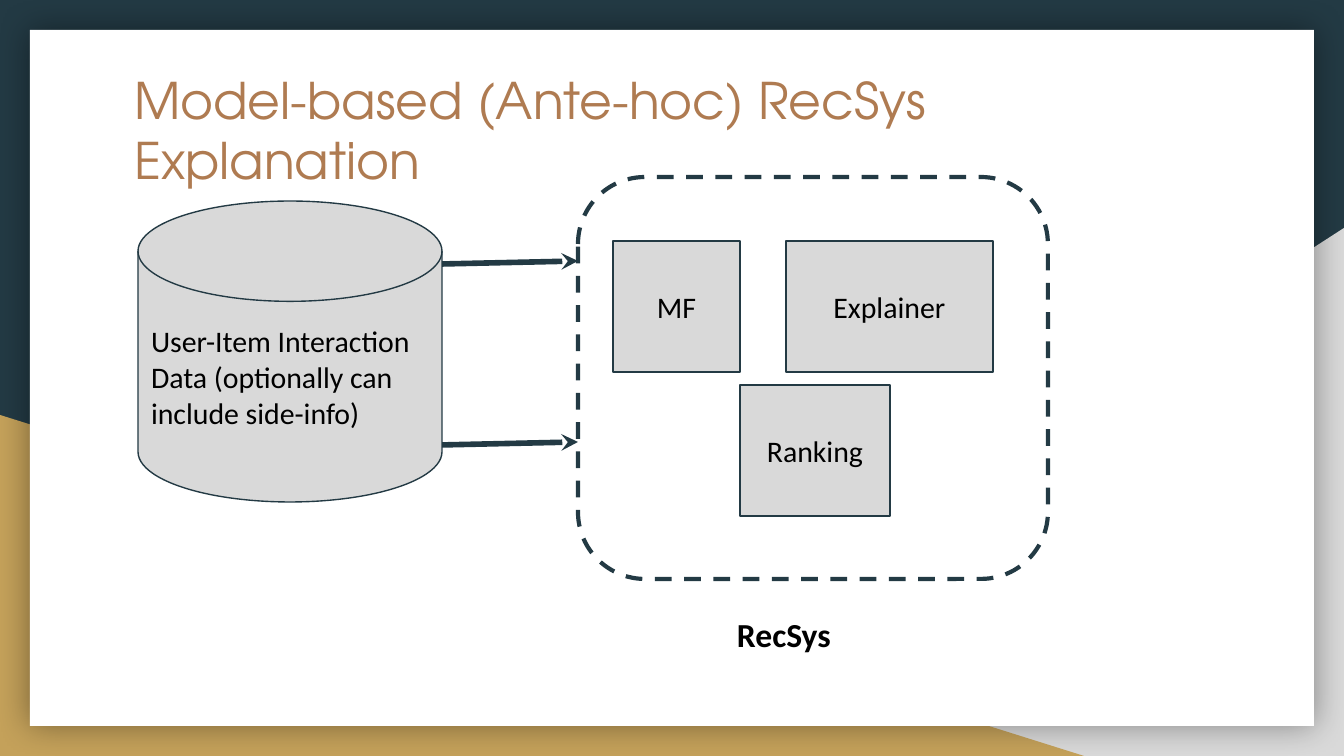
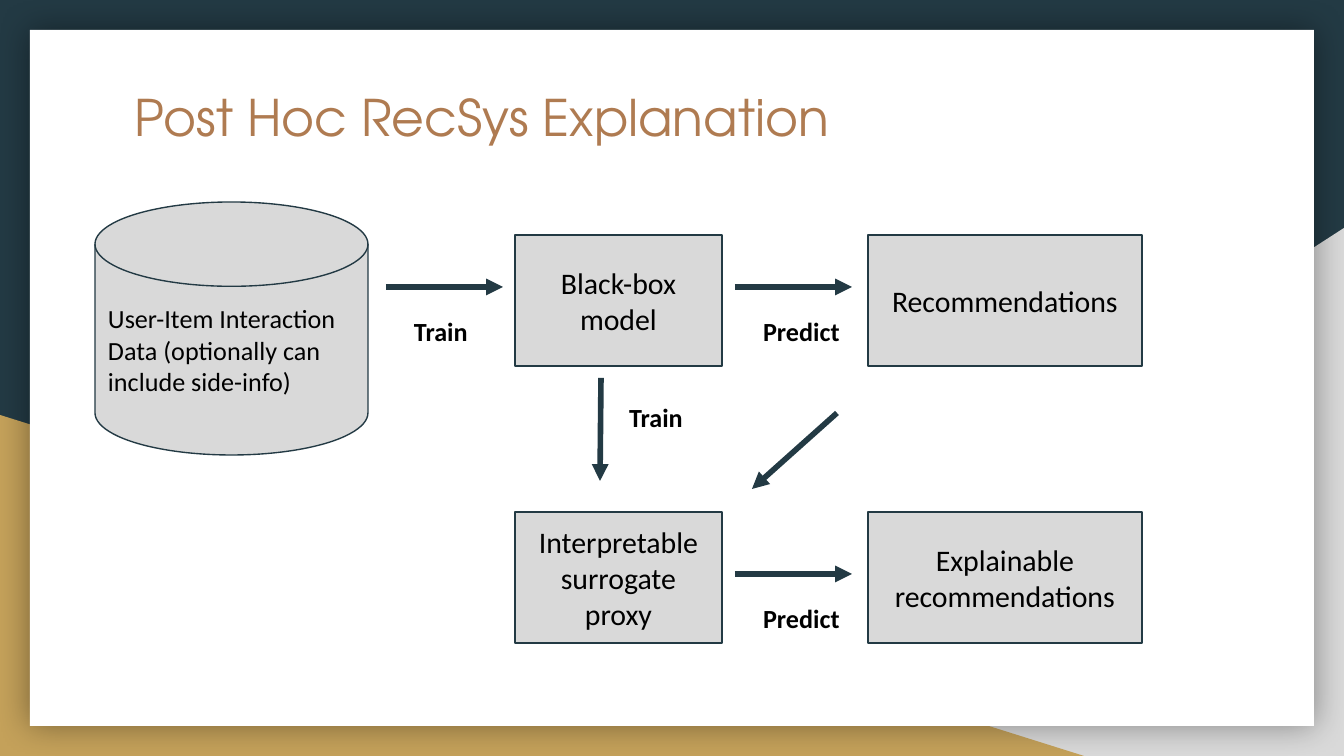
from lxml.etree import SubElement
from pptx import Presentation
from pptx.dml.color import RGBColor
from pptx.enum.dml import MSO_LINE
from pptx.enum.shapes import MSO_CONNECTOR, MSO_SHAPE
from pptx.enum.text import MSO_ANCHOR, MSO_AUTO_SIZE, PP_ALIGN
from pptx.oxml.ns import qn
from pptx.util import Emu, Pt

NAVY = RGBColor(0x23, 0x3A, 0x44)
GOLD = RGBColor(0xC4, 0xA1, 0x5A)
COPPER = RGBColor(0xAF, 0x7B, 0x51)
GREY = RGBColor(0xD9, 0xD9, 0xD9)
WHITE = RGBColor(0xFF, 0xFF, 0xFF)
BLACK = RGBColor(0x00, 0x00, 0x00)
TITLE_FONT = "TeX Gyre Adventor"
BODY_FONT = "Calibri"
EMU_PER_PX = 914400 / 134.4
INSET = 13
BOX_HEIGHT = 131

# Boxes are left, top, width, height; arrows are start x, y and end x, y.
DATA_TEXT = "User-Item Interaction Data (optionally can include side-info)"

MODEL_TITLE = "Model-based (Ante-hoc) RecSys Explanation"
MODEL_DATA = (138, 201, 304, 301)
RECSYS_FRAME = (578, 177, 470, 402)
RECSYS_PARTS = [
    ("MF", 613, 241, 127),
    ("Ranking", 740, 385, 150),
    ("Explainer", 786, 241, 207),
]
RECSYS_LABEL = ("RecSys", (724, 601, 129, 67))
DATA_ARROW_TOPS = (264, 445)
DATA_ARROW_RISE = 3

POST_HOC_TITLE = "Post Hoc RecSys Explanation"
POST_HOC_DATA = (95, 202, 273, 253)
COLUMNS = [(515, 207), (868, 274)]
ROWS = [
    (235, ("Black-box model", "Recommendations")),
    (512, ("Interpretable surrogate proxy", "Explainable recommendations")),
]
STEPS = [("Train", 386, 287), ("Predict", 735, 287), ("Predict", 735, 574)]
STEP_LENGTH = 117
STEP_LABEL_GAP = 15
STEP_LABEL_SIZE = (152, 59)
SURROGATE_ARROWS = [(601, 378, 600, 481), (837, 413, 752, 489)]
SURROGATE_LABEL = ("Train", (616, 388))


def px(*lengths):
    return [Emu(round(length * EMU_PER_PX)) for length in lengths]


def format_text(frame, size, color=BLACK, font=BODY_FONT, bold=False,
                align=PP_ALIGN.LEFT, anchor=MSO_ANCHOR.TOP):
    frame.word_wrap = True
    frame.vertical_anchor = anchor
    inset, = px(INSET)
    frame.margin_left = frame.margin_right = inset
    frame.margin_top = frame.margin_bottom = inset
    for para in frame.paragraphs:
        para.alignment = align
        for span in para.runs:
            span.font.name = font
            span.font.size = Pt(size)
            span.font.bold = bold
            span.font.color.rgb = color


def add_figure(shapes, kind, place, fill, line_width=0):
    figure = shapes.add_shape(kind, *px(*place))
    figure.shadow.inherit = False
    figure.fill.solid()
    figure.fill.fore_color.rgb = fill
    if line_width:
        figure.line.color.rgb = NAVY
        figure.line.width = Pt(line_width)
    else:
        figure.line.fill.background()
    return figure


def add_box(shapes, text, place):
    box = add_figure(shapes, MSO_SHAPE.RECTANGLE, place, GREY, 0.75)
    box.text_frame.text = text
    format_text(box.text_frame, 16, align=PP_ALIGN.CENTER, anchor=MSO_ANCHOR.MIDDLE)


def add_data_store(shapes, place, size):
    disk = add_figure(shapes, MSO_SHAPE.FLOWCHART_MAGNETIC_DISK, place, GREY, 0.75)
    disk.text_frame.text = DATA_TEXT
    format_text(disk.text_frame, size, anchor=MSO_ANCHOR.MIDDLE)


def add_label(shapes, text, place, size):
    label = shapes.add_textbox(*px(*place))
    label.text_frame.text = text
    label.text_frame.auto_size = MSO_AUTO_SIZE.SHAPE_TO_FIT_TEXT
    format_text(label.text_frame, size, bold=True)


def add_arrow(shapes, ends, head="triangle"):
    arrow = shapes.add_connector(MSO_CONNECTOR.STRAIGHT, *px(*ends))
    arrow.line.color.rgb = NAVY
    arrow.line.width = Pt(3)
    properties = arrow.element.spPr
    SubElement(properties.find(qn("a:ln")), qn("a:tailEnd"), type=head)
    SubElement(properties, qn("a:effectLst"))


def add_glow(figure):
    """Give the figure a soft black shadow on all sides."""
    effects = figure.element.spPr.find(qn("a:effectLst"))
    shadow = SubElement(effects, qn("a:outerShdw"), blurRad=str(Pt(18)),
                        dist="0", dir="0", algn="ctr", rotWithShape="0")
    color = SubElement(shadow, qn("a:srgbClr"), val=str(BLACK))
    SubElement(color, qn("a:alpha"), val="40000")


def dress_layout(layout, slide):
    """Draw the shared backdrop on a slide and move it to the layout."""
    layout.background.fill.solid()
    layout.background.fill.fore_color.rgb = NAVY
    right = add_figure(slide.shapes, MSO_SHAPE.RIGHT_TRIANGLE, (527, 228, 817, 528), GREY)
    right.element.spPr.find(qn("a:xfrm")).set("flipH", "1")
    left = add_figure(slide.shapes, MSO_SHAPE.RIGHT_TRIANGLE, (0, 415, 1084, 341), GOLD)
    sheet = add_figure(slide.shapes, MSO_SHAPE.RECTANGLE, (30, 30, 1284, 696), WHITE)
    add_glow(sheet)
    for position, figure in enumerate((right, left, sheet), start=2):
        layout.shapes.element.insert(position, figure.element)


def set_title(slide, text, top, height):
    title = slide.shapes.title
    title.left, title.top, title.width, title.height = px(121, top, 1103, height)
    title.text_frame.text = text
    title.text_frame.auto_size = MSO_AUTO_SIZE.NONE
    format_text(title.text_frame, 27, COPPER, TITLE_FONT)
    return title


def fill_model_slide(slide):
    set_title(slide, MODEL_TITLE, 56, 98)
    parts = slide.shapes.add_group_shape().shapes
    frame = add_figure(parts, MSO_SHAPE.ROUNDED_RECTANGLE, RECSYS_FRAME, WHITE, 2.25)
    frame.line.dash_style = MSO_LINE.DASH
    for text, left, top, width in RECSYS_PARTS:
        add_box(parts, text, (left, top, width, BOX_HEIGHT))
    add_label(slide.shapes, *RECSYS_LABEL, 18)
    start = MODEL_DATA[0] + MODEL_DATA[2]
    for top in DATA_ARROW_TOPS:
        add_arrow(slide.shapes, (start, top, RECSYS_FRAME[0], top - DATA_ARROW_RISE), "stealth")
    add_data_store(slide.shapes, MODEL_DATA, 16)


def fill_post_hoc_slide(slide):
    title = set_title(slide, POST_HOC_TITLE, 64, 92)
    title.text_frame.paragraphs[0].line_spacing = 1.15
    title.text_frame.paragraphs[0].space_after = Pt(12)
    add_data_store(slide.shapes, POST_HOC_DATA, 14)
    for top, texts in ROWS:
        for (left, width), text in zip(COLUMNS, texts):
            add_box(slide.shapes, text, (left, top, width, BOX_HEIGHT))
    for ends in SURROGATE_ARROWS:
        add_arrow(slide.shapes, ends)
    text, corner = SURROGATE_LABEL
    add_label(slide.shapes, text, corner + STEP_LABEL_SIZE, 14)
    for text, left, top in STEPS:
        step = slide.shapes.add_group_shape().shapes
        add_arrow(step, (left, top, left + STEP_LENGTH, top))
        corner = (left + STEP_LABEL_GAP, top + STEP_LABEL_GAP)
        add_label(step, text, corner + STEP_LABEL_SIZE, 14)


def main():
    deck = Presentation()
    deck.slide_width, deck.slide_height = px(1344, 756)
    layout = deck.slide_layouts.get_by_name("Title Only")
    model_slide, post_hoc_slide = [deck.slides.add_slide(layout) for _ in range(2)]
    dress_layout(layout, model_slide)
    fill_model_slide(model_slide)
    fill_post_hoc_slide(post_hoc_slide)
    deck.save("out.pptx")


if __name__ == "__main__":
    main()
